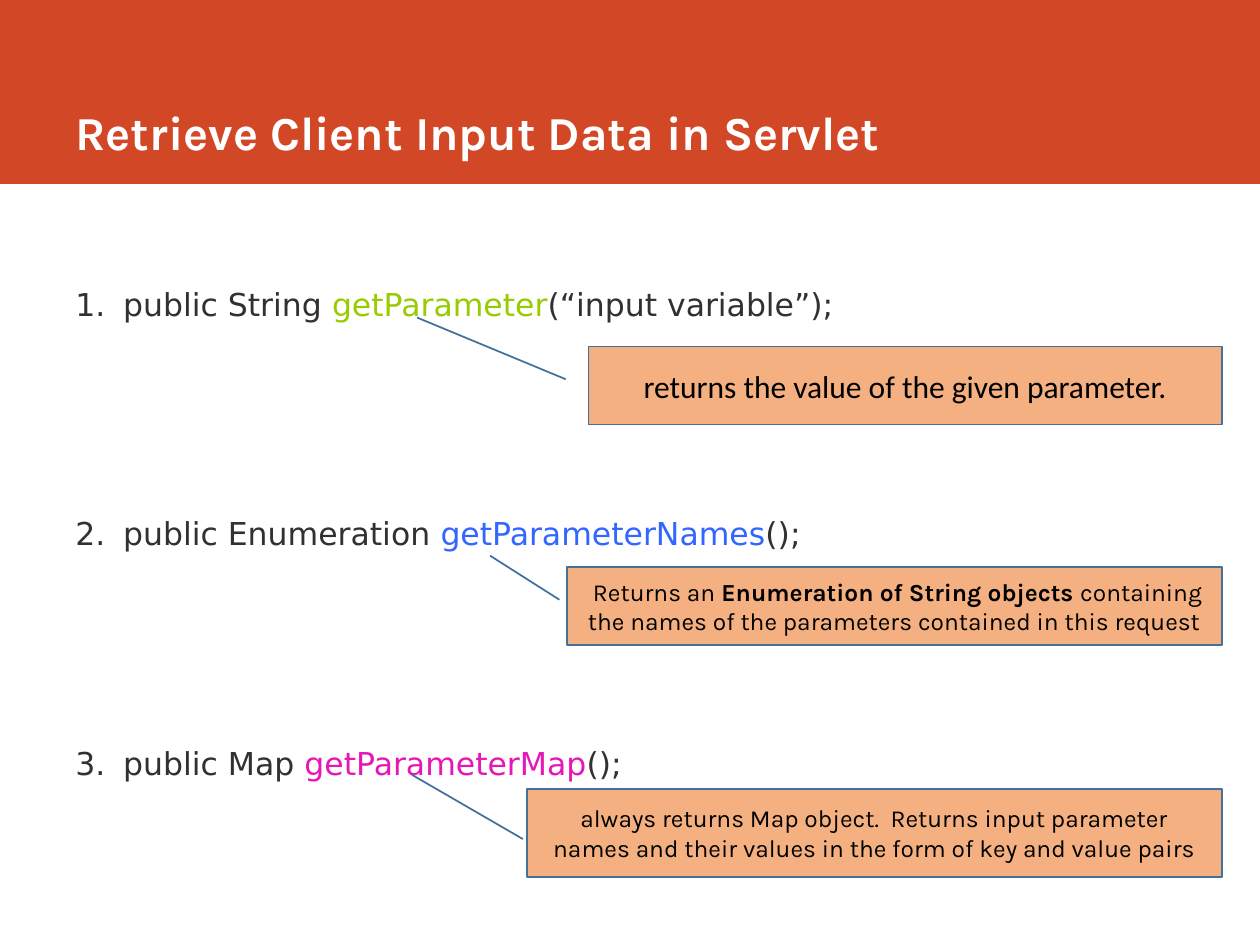
from lxml import etree
from pptx import Presentation
from pptx.dml.color import RGBColor
from pptx.enum.shapes import MSO_SHAPE
from pptx.enum.text import MSO_ANCHOR, PP_ALIGN
from pptx.oxml.ns import qn
from pptx.util import Inches, Pt

RECTANGLE = MSO_SHAPE.RECTANGLE
LINE_CALLOUT = MSO_SHAPE.LINE_CALLOUT_1
CENTER = PP_ALIGN.CENTER
MIDDLE, BOTTOM = MSO_ANCHOR.MIDDLE, MSO_ANCHOR.BOTTOM

WIDTH, HEIGHT = 10, 7.5
LEFT = 0.5
CALLOUT_RIGHT = 9.7
BANNER, INK, PEACH, EDGE = "D24726", "313131", "F4B081", "42719B"
WHITE, BLACK = "FFFFFF", "000000"

TITLE = "Retrieve Client Input Data in Servlet"

# return type, method, its colour, arguments
METHODS = [
    ("public String ", "getParameter", "99CC00", "(“input variable”);"),
    ("public Enumeration ", "getParameterNames", "3366FF", "();"),
    ("public Map ", "getParameterMap", "E717B5", "();"),
]

# left, top, height, line start, line end, font, size, [(text, bold)]
CALLOUTS = [
    (4.67, 2.75, 0.62, (4.49, 3.01), (3.31, 2.52), "Calibri", 18,
     [("returns the value of the given parameter.", False)]),
    (4.5, 4.5, 0.62, (4.44, 4.76), (3.89, 4.41), "Karla", 14,
     [(" Returns an ", False), ("Enumeration of String objects ", True),
      ("containing the names of the parameters contained in this request", False)]),
    (4.18, 6.26, 0.7, (4.15, 6.66), (3.27, 6.15), "Karla", 14,
     [("always returns Map object.  Returns input parameter names and "
       "their values in the form of key and value pairs", False)]),
]


def color(hex_value):
    return RGBColor.from_string(hex_value)


def set_font(font, name, size, hex_value):
    font.name, font.size = name, Pt(size)
    font.color.rgb = color(hex_value)


def add_box(slide, preset, left, top, width, height, fill):
    box = slide.shapes.add_shape(
        preset, Inches(left), Inches(top), Inches(width), Inches(height))
    box.shadow.inherit = False
    box.fill.solid()
    box.fill.fore_color.rgb = color(fill)
    return box


def add_text_frame(slide, left, top, width, height):
    frame = slide.shapes.add_textbox(
        Inches(left), Inches(top), Inches(width), Inches(height)).text_frame
    frame.word_wrap = True
    return frame


def number(paragraph):
    """Give the paragraph an automatic number with a hanging indent."""
    properties = paragraph._p.get_or_add_pPr()
    properties.set("marL", str(Inches(0.38)))
    properties.set("indent", str(-Inches(0.38)))
    bullet_color = etree.Element(qn("a:buClr"))
    etree.SubElement(bullet_color, qn("a:srgbClr"), val=INK)
    numbering = etree.Element(qn("a:buAutoNum"), type="arabicPeriod")
    properties.insert_element_before(bullet_color, "a:defRPr")
    properties.insert_element_before(numbering, "a:defRPr")


def add_methods(slide):
    frame = add_text_frame(slide, LEFT, 1.91, 6.8, 4.34)
    for index, (returns, method, accent, arguments) in enumerate(METHODS):
        line = frame.paragraphs[0] if index == 0 else frame.add_paragraph()
        line.line_spacing = 2.0
        line.space_before = Pt(88 if index else 0)
        for text, hue in ((returns, INK), (method, accent), (arguments, INK)):
            run = line.add_run()
            run.text = text
            set_font(run.font, "DejaVu Sans", 18, hue)
        number(line)


def add_callout(slide, left, top, height, start, end, font, size, parts):
    width = CALLOUT_RIGHT - left
    callout = add_box(slide, LINE_CALLOUT, left, top, width, height, PEACH)
    callout.line.color.rgb = color(EDGE)
    callout.line.width = Pt(1)
    for index, (x, y) in enumerate((start, end)):
        callout.adjustments[2 * index] = (y - top) / height
        callout.adjustments[2 * index + 1] = (x - left) / width
    frame = callout.text_frame
    frame.word_wrap = True
    frame.vertical_anchor = MIDDLE
    paragraph = frame.paragraphs[0]
    paragraph.alignment = CENTER
    set_font(paragraph.font, font, size, BLACK)
    for text, bold in parts:
        run = paragraph.add_run()
        run.text = text
        run.font.bold = bold
        set_font(run.font, font, size, BLACK)


def main():
    deck = Presentation()
    deck.slide_width, deck.slide_height = Inches(WIDTH), Inches(HEIGHT)
    slide = deck.slides.add_slide(deck.slide_layouts[6])

    banner = add_box(slide, RECTANGLE, 0, 0, WIDTH, 1.46, BANNER)
    banner.line.fill.background()

    frame = add_text_frame(slide, LEFT, 0, 8.82, 1.32)
    frame.vertical_anchor = BOTTOM
    title = frame.paragraphs[0]
    title.text = TITLE
    set_font(title.font, "Karla", 27, WHITE)
    title.font.bold = True

    add_methods(slide)
    for callout in CALLOUTS:
        add_callout(slide, *callout)
    deck.save("out.pptx")


if __name__ == "__main__":
    main()
